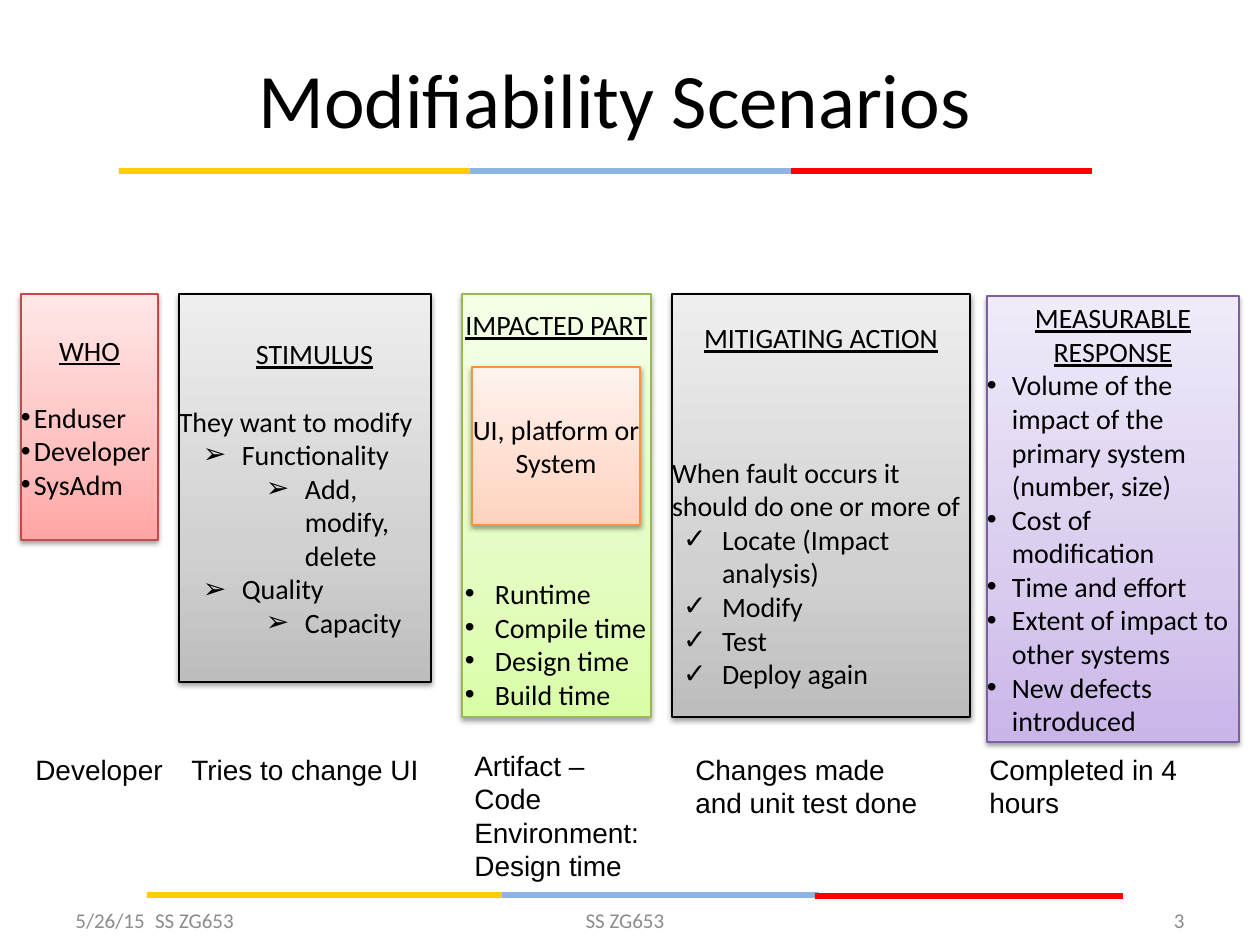
from lxml.etree import SubElement
from pptx import Presentation
from pptx.dml.color import RGBColor
from pptx.enum.shapes import MSO_SHAPE
from pptx.enum.text import MSO_ANCHOR, MSO_AUTO_SIZE, PP_ALIGN
from pptx.oxml import parse_xml
from pptx.oxml.ns import nsdecls, qn
from pptx.util import Emu, Pt

PX = 914400 / 126
LINE = 19.2  # height of one 16 pt line, in points
LEFT, MID, RIGHT = PP_ALIGN.LEFT, PP_ALIGN.CENTER, PP_ALIGN.RIGHT
COLORS = {
    "text": "000000", "foot": "8C8C8C",
    "yellow": "FFCE00", "blue": "8EB4E3", "red": "FF0000",
}
# Line colour, then gradient from bottom to top
THEMES = {
    "pink": ("BF4C48", "FFA6A5", "FFC0BF", "FFE7E7"),
    "gray": ("000000", "BDBDBD", "D1D1D1", "EEEEEE"),
    "green": ("98B955", "DAFDA7", "E4FCC2", "F5FFE7"),
    "violet": ("7D60A0", "C9B5E8", "D8CBEE", "F0EAF9"),
    "orange": ("F69240", "FFD2BD", "FFDED0", "FFF2ED"),
}


def px(*nums):
    return [Emu(round(n * PX)) for n in nums]


def write(para, text, size=16, font="Calibri", color="text", align=LEFT):
    para.alignment = align
    run = para.add_run()
    run.text = text
    run.font.size = Pt(size)
    run.font.name = font
    run.font.color.rgb = RGBColor.from_string(COLORS[color])
    return run


deck = Presentation()
deck.slide_width, deck.slide_height = px(1260, 945)
slide = deck.slides.add_slide(deck.slide_layouts[5])
shapes = slide.shapes

# Title
title = shapes.title
title.left, title.top, title.width, title.height = px(48, 28, 1134, 140)
title.text_frame.vertical_anchor = MSO_ANCHOR.MIDDLE
write(title.text_frame.paragraphs[0], "Modifiability Scenarios", 44, align=MID)

# Colour bars under the title and above the footer
bars = [
    ("red", 784, 168, 308), ("yellow", 119, 168, 355), ("blue", 470, 168, 321),
    ("blue", 498, 892, 321), ("red", 815, 893, 308), ("yellow", 147, 892, 355),
]
for color, x, y, wide in bars:
    bar = shapes.add_shape(MSO_SHAPE.RECTANGLE, *px(x, y, wide, 6))
    bar.fill.solid()
    bar.fill.fore_color.rgb = RGBColor.from_string(COLORS[color])
    bar.line.fill.background()
    bar.shadow.inherit = False

# Footer
feet = [
    ("5/26/15", 63, 294, LEFT), ("SS ZG653", 0, 389, MID),
    ("SS ZG653", 425, 400, MID), ("3", 903, 294, RIGHT),
]
for text, x, wide, align in feet:
    frame = shapes.add_textbox(*px(x, 895, wide, 50)).text_frame
    frame.word_wrap = True
    frame.vertical_anchor = MSO_ANCHOR.MIDDLE
    write(frame.paragraphs[0], text, 12, color="foot", align=align)

# Scenario panels: theme, place, anchor, heading, heading shift, items
# Item: text, level, left px, hang px, bullet, empty lines above
MIDDLE, BOTTOM = MSO_ANCHOR.MIDDLE, MSO_ANCHOR.BOTTOM
panels = [
    ("pink", (21, 294, 137, 246), MIDDLE, "WHO", 0, [
        ("Enduser", 0, 13, 13, "•", 1),
        ("Developer", 0, 13, 13, "•", 0),
        ("SysAdm", 0, 13, 13, "•", 0)]),
    ("gray", (179, 294, 252, 388), MIDDLE, "STIMULUS", 19, [
        ("They want to modify", 0, 0, 0, "", 1),
        ("Functionality", 1, 63, 39, "➢", 0),
        ("Add, modify, delete", 2, 126, 39, "➢", 0),
        ("Quality", 1, 63, 39, "➢", 0),
        ("Capacity", 2, 126, 39, "➢", 0)]),
    ("green", (462, 294, 189, 423), BOTTOM, "IMPACTED PART", 0, [
        ("Runtime", 0, 33, 30, "•", 7),
        ("Compile time", 0, 33, 30, "•", 0),
        ("Design time", 0, 33, 30, "•", 0),
        ("Build time", 0, 33, 30, "•", 0)]),
    ("gray", (672, 294, 298, 423), MIDDLE, "MITIGATING ACTION", 0, [
        ("When fault occurs it should do one or more of", 0, 0, 0, "", 3),
        ("Locate (Impact analysis)", 2, 50, 39, "✓", 0),
        ("Modify", 2, 50, 39, "✓", 0),
        ("Test", 2, 50, 39, "✓", 0),
        ("Deploy again", 2, 50, 39, "✓", 0)]),
    ("violet", (987, 296, 252, 446), MIDDLE, "MEASURABLE RESPONSE", 0, [
        ("Volume of the impact of the primary system (number, size)",
         0, 25, 25, "•", 0),
        ("Cost of modification", 0, 25, 25, "•", 0),
        ("Time and effort", 0, 25, 25, "•", 0),
        ("Extent of impact to other systems", 0, 25, 25, "•", 0),
        ("New defects introduced", 0, 25, 25, "•", 0)]),
    ("orange", (472, 367, 168, 158), MIDDLE, "UI, platform or System", 0, []),
]
for theme, place, anchor, head, shift, items in panels:
    edge, low, mid, high = THEMES[theme]
    panel = shapes.add_shape(MSO_SHAPE.RECTANGLE, *px(*place))
    stops = "".join(
        f'<a:gs pos="{pos}"><a:srgbClr val="{tone}"/></a:gs>'
        for pos, tone in ((0, low), (35000, mid), (100000, high)))
    panel.element.spPr.append(parse_xml(
        f'<a:gradFill {nsdecls("a")} rotWithShape="1"><a:gsLst>{stops}</a:gsLst>'
        '<a:lin ang="16200000" scaled="0"/></a:gradFill>'))
    panel.line.color.rgb = RGBColor.from_string(edge)
    panel.line.width = Pt(0.75)
    panel.shadow.inherit = False
    panel.element.spPr.find(qn("a:effectLst")).append(parse_xml(
        f'<a:outerShdw {nsdecls("a")} blurRad="39370" dist="20320" dir="5400000"'
        ' rotWithShape="0"><a:srgbClr val="000000"><a:alpha val="38000"/>'
        '</a:srgbClr></a:outerShdw>'))
    frame = panel.text_frame
    frame.word_wrap = True
    frame.vertical_anchor = anchor
    frame.margin_left = frame.margin_right = 0
    para = frame.paragraphs[0]
    para._p.get_or_add_pPr().set("marL", str(px(shift)[0]))
    write(para, head, align=MID).font.underline = bool(items)
    for text, level, left, hang, mark, gap in items:
        para = frame.add_paragraph()
        para.level = level
        para.space_before = Pt(gap * LINE)
        props = para._p.get_or_add_pPr()
        props.set("marL", str(px(left)[0]))
        props.set("indent", str(px(-hang)[0]))
        if mark:
            SubElement(props, qn("a:buFont")).set("typeface", "Arial")
            SubElement(props, qn("a:buChar")).set("char", mark)
        write(para, text)

# Example under each panel
notes = [
    (23, 746, 154, 47, ["Developer"]),
    (179, 746, 252, 81, ["Tries to change UI"]),
    (683, 746, 252, 81, ["Changes made and unit test done"]),
    (977, 746, 252, 81, ["Completed in 4 hours"]),
    (462, 742, 207, 149, ["Artifact – Code", "Environment: Design time"]),
]
for x, y, wide, high, lines in notes:
    frame = shapes.add_textbox(*px(x, y, wide, high)).text_frame
    frame.word_wrap = lines != ["Developer"]
    frame.auto_size = MSO_AUTO_SIZE.SHAPE_TO_FIT_TEXT
    for i, line in enumerate(lines):
        para = frame.add_paragraph() if i else frame.paragraphs[0]
        write(para, line, font="Arial")

deck.save("out.pptx")
